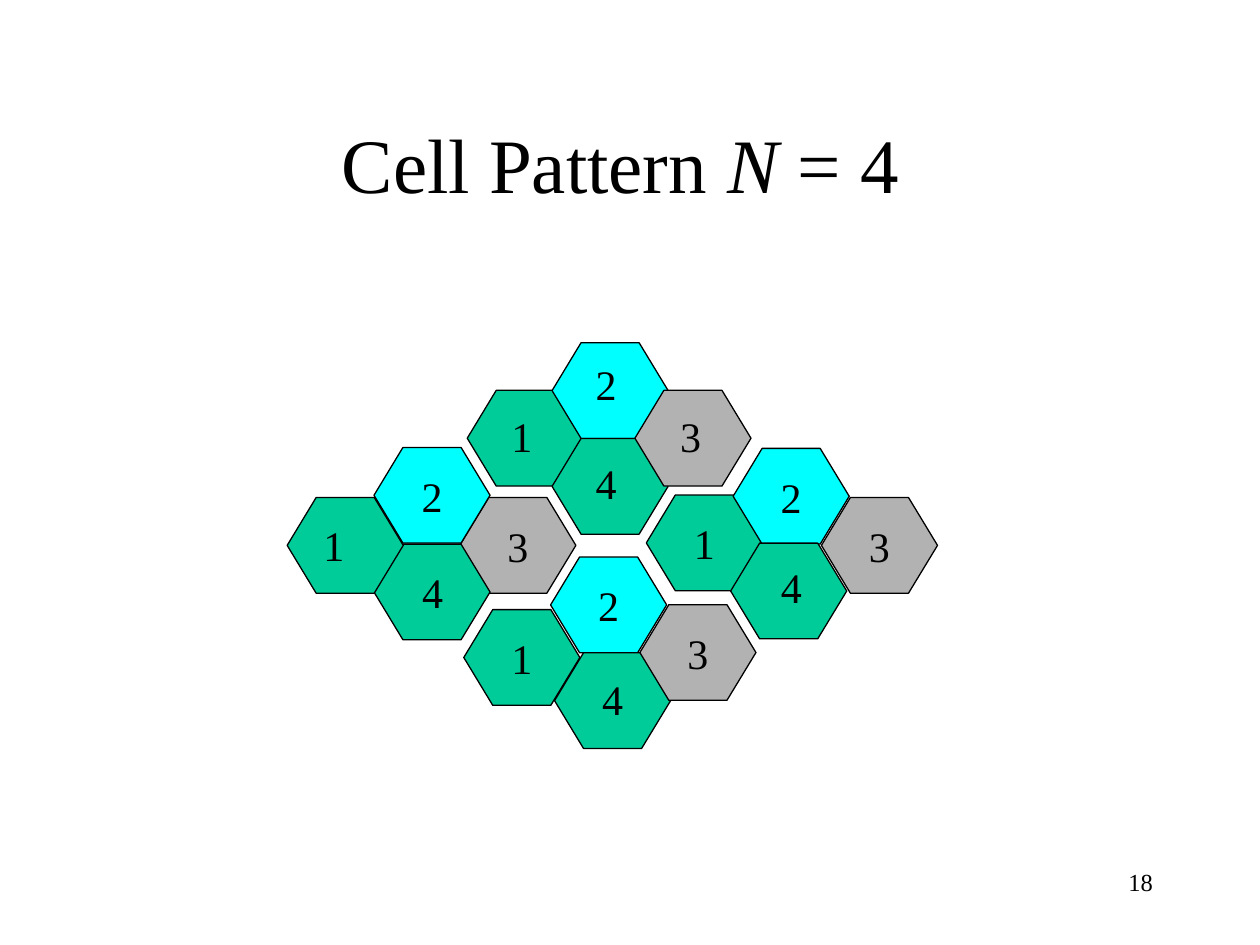
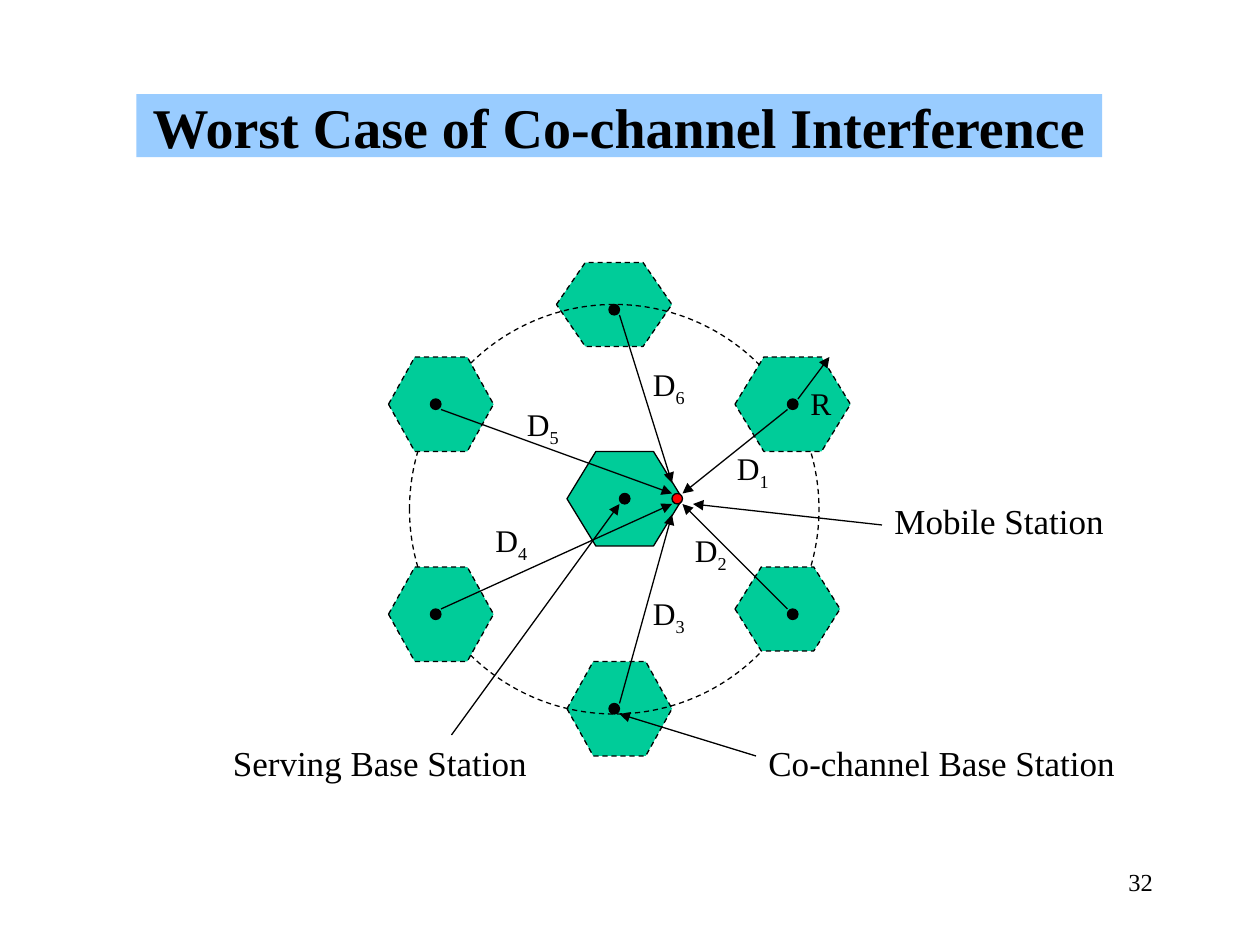
import pptx
import pptx.dml.color
import pptx.enum.dml
import pptx.enum.shapes
import pptx.enum.text
import pptx.oxml.ns
import pptx.util
from lxml import etree

Cm = pptx.util.Cm
RGBColor = pptx.dml.color.RGBColor
SHAPE = pptx.enum.shapes.MSO_SHAPE
ALIGN = pptx.enum.text.PP_ALIGN
ANCHOR = pptx.enum.text.MSO_ANCHOR

BLACK = RGBColor(0x00, 0x00, 0x00)
GREEN = RGBColor(0x00, 0xCC, 0x99)
CYAN = RGBColor(0x00, 0xFF, 0xFF)
GRAY = RGBColor(0xB2, 0xB2, 0xB2)
RED = RGBColor(0xFF, 0x00, 0x00)
BAND_BLUE = RGBColor(0x99, 0xCC, 0xFF)
FONT = "Times New Roman"

# Cell pattern, in cm
CELL_SIZE = (2.34, 1.93)
CELL_COLORS = {"1": GREEN, "2": CYAN, "3": GRAY, "4": GREEN}
# Each cell: channel, left, top, then the place of a separate label if it has one
CLUSTERS = {
    "top": [
        ("1", 9.42, 7.87, (10.06, 8.15)),
        ("2", 11.13, 6.91, (11.76, 7.11)),
        ("4", 11.13, 8.84, (11.76, 9.09)),
        ("3", 12.8, 7.87, (13.46, 8.15)),
    ],
    "bottom": [
        ("2", 11.1, 11.23, None),
        ("1", 9.35, 12.29, None),
        ("4", 11.18, 13.16, (11.89, 13.46)),
        ("3", 12.9, 12.19, None),
    ],
    "right": [
        ("1", 13.03, 9.98, None),
        ("2", 14.78, 9.04, None),
        ("4", 14.73, 10.95, (15.49, 11.2)),
        ("3", 16.56, 10.03, None),
    ],
    "left": [
        ("3", 9.27, 10.03, None),
        ("2", 7.54, 9.02, None),
        ("4", 7.54, 10.97, (8.26, 11.3)),
        ("1", 5.79, 10.03, (6.27, 10.34)),
    ],
}

# Interference diagram, in grid steps of a twelfth of an inch
GRID_STEP = 2.54 / 12
RING = (39, 29, 39, 39)
SERVING_CELL = (54, 43, 11, 9)
SERVING_DOT = (59, 47)
MOBILE_DOT = (64, 47)
# Each station: distance number, cell, dot, arrow start, arrow end, label place
STATIONS_BEHIND_RING = [
    ("6", (53, 25, 11, 8), (58, 29), (59, 30), (64, 46), (61, 34.2)),
    ("3", (54, 63, 10, 9), (58, 67), (59, 67), (64, 49), (61, 56)),
]
STATIONS_ABOVE_RING = [
    ("1", (70, 34, 11, 9), (75, 38), (75, 39), (65, 47), (69, 42.2)),
    ("2", (70, 54, 10, 8), (75, 58), (75, 58), (65, 48), (65, 50)),
    ("5", (37, 34, 10, 9), (41, 38), (42, 39), (64, 47), (49, 38)),
    ("4", (37, 54, 10, 9), (41, 58), (42, 58), (64, 48), (46, 49)),
]
# Each caption: wording, box, arrow start, arrow end, text size
CAPTIONS = [
    ("Mobile Station", (84, 47, 26, 5.3), (84, 50), (66, 48), 20),
    ("Serving Base Station", (21, 70, 31, 5.3), (43, 70), (59, 48), 20),
    ("Co-channel Base Station", (72, 70, 37, 5.3), (72, 72), (59, 68), 20),
    ("R", (76, 36, 5, 4.8), (76, 38), (79, 34), 18),
]


def on_grid(steps):
    return [step * GRID_STEP for step in steps]


def write(shape, runs, size, align=ALIGN.LEFT, anchor=ANCHOR.TOP, wrap=True):
    """Fill a shape with one paragraph of (text, format values) runs."""
    frame = shape.text_frame
    frame.word_wrap = wrap
    frame.vertical_anchor = anchor
    paragraph = frame.paragraphs[0]
    paragraph.alignment = align
    for text, extra in runs:
        run = paragraph.add_run()
        run.text = text
        values = {"name": FONT, "size": pptx.util.Pt(size), **extra}
        for attribute, value in values.items():
            setattr(run.font, attribute, value)
        run.font.color.rgb = BLACK
    return paragraph


def add_text(slide, box, runs, size, **layout):
    shape = slide.shapes.add_textbox(*map(Cm, box))
    return write(shape, runs, size, **layout)


def add_outlined(slide, kind, box, fill, dashed=False):
    shape = slide.shapes.add_shape(kind, *map(Cm, box))
    shape.shadow.inherit = False
    if fill is None:
        shape.fill.background()
    else:
        shape.fill.solid()
        shape.fill.fore_color.rgb = fill
    shape.line.color.rgb = BLACK
    shape.line.width = pptx.util.Pt(0.75)
    if dashed:
        shape.line.dash_style = pptx.enum.dml.MSO_LINE.DASH
    return shape


def add_hexagon(slide, box, fill, dashed=False):
    """Add a hexagon whose slanted corners take a quarter of its width."""
    hexagon = add_outlined(slide, SHAPE.HEXAGON, box, fill, dashed)
    hexagon.adjustments[0] = box[2] / (4 * box[3])
    return hexagon


def add_dot(slide, place, fill=BLACK):
    add_outlined(slide, SHAPE.OVAL, on_grid((*place, 1, 1)), fill)


def add_arrow(slide, start, end):
    arrow = slide.shapes.add_connector(
        pptx.enum.shapes.MSO_CONNECTOR.STRAIGHT,
        *map(Cm, on_grid((*start, *end))))
    arrow.line.color.rgb = BLACK
    arrow.line.width = pptx.util.Pt(0.75)
    qn = pptx.oxml.ns.qn
    etree.SubElement(arrow.line._get_or_add_ln(), qn("a:tailEnd"), type="triangle")
    etree.SubElement(arrow._element.spPr, qn("a:effectLst"))


def add_slide(presentation, number, title, title_box, title_size, band=None):
    """Add a blank slide with its page number and title."""
    slide = presentation.slides.add_slide(presentation.slide_layouts[6])
    add_text(slide, (18.21, 17.35, 5.28, 1.27), [(number, {})], 14,
             align=ALIGN.RIGHT)
    heading = slide.shapes.add_textbox(*map(Cm, title_box))
    if band is not None:
        heading.fill.solid()
        heading.fill.fore_color.rgb = band
    write(heading, title, title_size, align=ALIGN.CENTER, anchor=ANCHOR.MIDDLE)
    return slide


def build_cell_pattern(presentation):
    title = [("Cell Pattern ", {}), ("N", {"italic": True}), (" = 4 ", {})]
    slide = add_slide(presentation, "18", title, (1.9, 1.7, 21.6, 3.18), 44)
    for cells in CLUSTERS.values():
        labels = []
        for channel, left, top, label_place in cells:
            hexagon = add_hexagon(slide, (left, top, *CELL_SIZE),
                                  CELL_COLORS[channel])
            if label_place:
                labels.append((channel, label_place))
            else:
                write(hexagon, [(channel, {})], 24, align=ALIGN.CENTER,
                      anchor=ANCHOR.MIDDLE, wrap=False)
        for channel, place in labels:
            add_text(slide, (*place, 1.02, 1.27), [(channel, {})], 24)


def build_interference(presentation):
    title = [("Worst Case of Co-channel Interference", {"bold": True})]
    slide = add_slide(presentation, "32", title, (2.75, 1.9, 19.47, 1.27), 32,
                      BAND_BLUE)
    add_hexagon(slide, on_grid(SERVING_CELL), GREEN)
    for station in STATIONS_BEHIND_RING:
        add_hexagon(slide, on_grid(station[1]), GREEN, dashed=True)
    add_outlined(slide, SHAPE.OVAL, on_grid(RING), None, dashed=True)
    for station in STATIONS_ABOVE_RING:
        add_hexagon(slide, on_grid(station[1]), GREEN, dashed=True)

    add_dot(slide, SERVING_DOT)
    add_dot(slide, MOBILE_DOT, RED)
    for number, _, dot, start, end, place in STATIONS_BEHIND_RING + STATIONS_ABOVE_RING:
        add_dot(slide, dot)
        add_arrow(slide, start, end)
        label = add_text(slide, on_grid((*place, 7, 5.3)),
                         [("D", {}), (number, {})], 18)
        label.runs[1]._r.get_or_add_rPr().set("baseline", "-25000")
    for wording, box, start, end, size in CAPTIONS:
        add_arrow(slide, start, end)
        add_text(slide, on_grid(box), [(wording, {})], size)


def main():
    presentation = pptx.Presentation()
    presentation.slide_width = Cm(25.4)
    presentation.slide_height = Cm(19.05)
    build_cell_pattern(presentation)
    build_interference(presentation)
    presentation.save("out.pptx")


if __name__ == "__main__":
    main()
